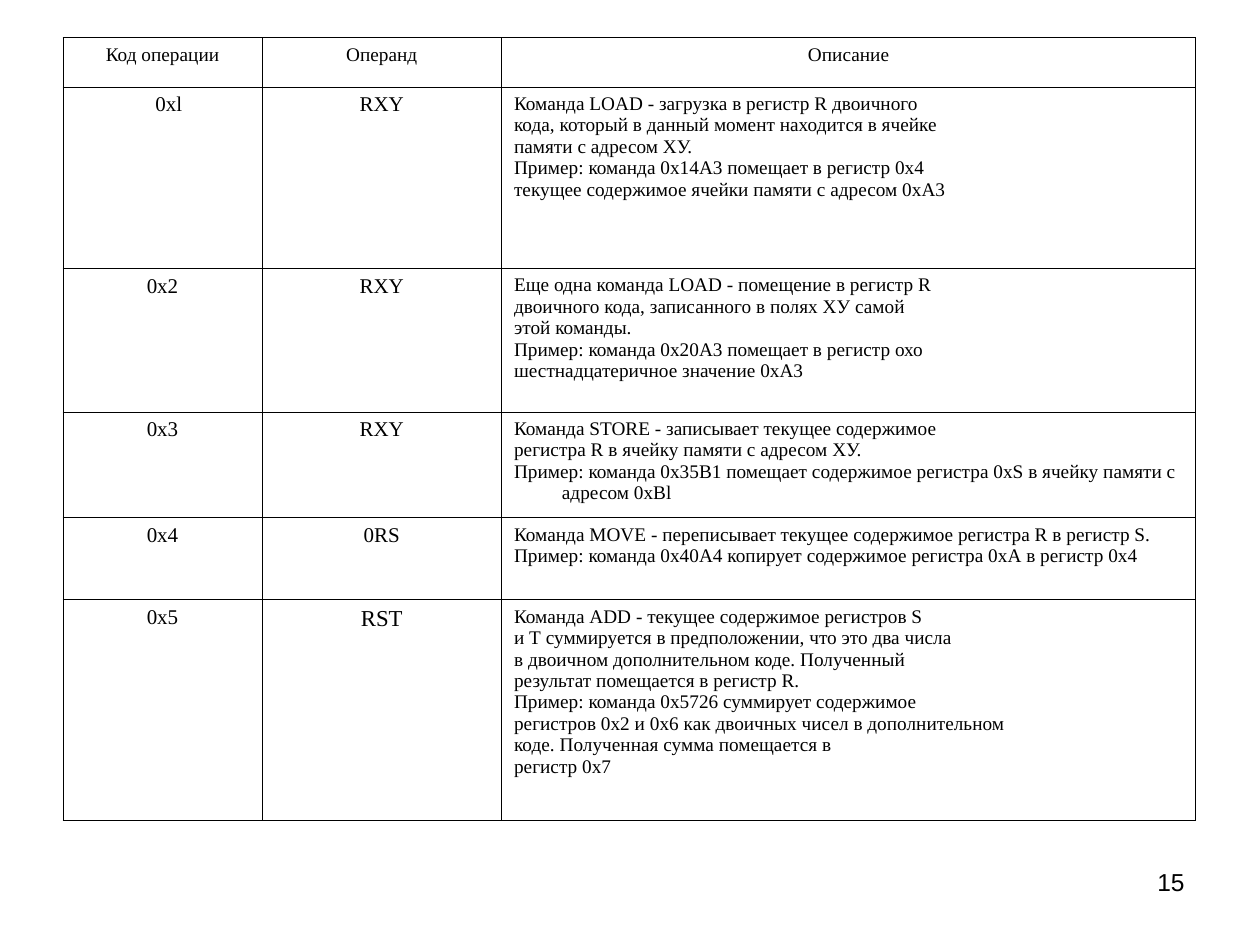
from lxml import etree
from pptx import Presentation
from pptx.dml.color import RGBColor
from pptx.enum.text import PP_ALIGN
from pptx.oxml.ns import qn
from pptx.util import Inches, Pt

LEFT, CENTER, RIGHT = PP_ALIGN.LEFT, PP_ALIGN.CENTER, PP_ALIGN.RIGHT
COLORS = {"text": "000000", "border": "000000"}
BORDER_WIDTH = Pt(0.45)
INDENT = 0.38
COL_WIDTHS = [1.58, 1.9, 5.51]
ROW_HEIGHTS = [0.39, 1.44, 1.14, 0.84, 0.65, 1.75]

ROWS = [
    ("Код операции", "Операнд", ["Описание"]),
    ("0xl", "RXY", [
        "Команда LOAD - загрузка в регистр R двоичного",
        "кода, который в данный момент находится в ячейке",
        "памяти с адресом ХУ.",
        "Пример: команда 0х14А3 помещает в регистр 0х4",
        "текущее содержимое ячейки памяти с адресом 0хА3"]),
    ("0х2", "RXY", [
        "Еще одна команда LOAD - помещение в регистр R",
        "двоичного кода, записанного в полях ХУ самой",
        "этой команды.",
        "Пример: команда 0х20А3 помещает в регистр охо",
        "шестнадцатеричное значение 0хА3"]),
    ("0х3", "RXY", [
        "Команда STORE - записывает текущее содержимое",
        "регистра R в ячейку памяти с адресом ХУ.",
        "Пример: команда 0х35B1 помещает содержимое регистра 0xS "
        "в ячейку памяти с адресом 0хBl"]),
    ("0х4", "0RS", [
        "Команда MOVE - переписывает текущее содержимое регистра R в регистр S.",
        "Пример: команда 0х40А4 копирует содержимое регистра 0хА в регистр 0х4"]),
    ("0x5", "RST", [
        "Команда ADD - текущее содержимое регистров S",
        "и Т суммируется в предположении, что это два числа",
        "в двоичном дополнительном коде. Полученный",
        "результат помещается в регистр R.",
        "Пример: команда 0х5726 суммирует содержимое",
        "регистров 0х2 и 0х6 как двоичных чисел в дополнительном",
        "коде. Полученная сумма помещается в",
        "регистр 0х7"]),
]


def add_text(p, text, align, font, size):
    p.alignment = align
    r = p.add_run()
    r.text = text
    for name, value in {"name": font, "size": Pt(size), "bold": False}.items():
        setattr(r.font, name, value)
    r.font.color.rgb = RGBColor.from_string(COLORS["text"])


def set_borders(cell):
    tcPr = cell._tc.get_or_add_tcPr()
    for i, side in enumerate(("lnL", "lnR", "lnT", "lnB")):
        ln = etree.Element(qn(f"a:{side}"), w=str(BORDER_WIDTH))
        fill = etree.SubElement(ln, qn("a:solidFill"))
        etree.SubElement(fill, qn("a:srgbClr"), val=COLORS["border"])
        tcPr.insert(i, ln)


prs = Presentation()
prs.slide_width, prs.slide_height = Inches(10), Inches(7.5)
s = prs.slides.add_slide(prs.slide_layouts[6])

# Table of machine commands
table = s.shapes.add_table(len(ROWS), len(COL_WIDTHS), Inches(0.5), Inches(0.3),
                           Inches(sum(COL_WIDTHS)), Inches(sum(ROW_HEIGHTS))).table
table.first_row = table.horz_banding = False
for col, width in zip(table.columns, COL_WIDTHS):
    col.width = Inches(width)
for row, height in zip(table.rows, ROW_HEIGHTS):
    row.height = Inches(height)

for i, (code, operand, description) in enumerate(ROWS):
    for j, lines in enumerate(([code], [operand], description)):
        cell = table.cell(i, j)
        cell.fill.background()
        set_borders(cell)
        size = 11 if i == 0 or j == 2 else 13 if operand == "RST" and j == 1 else 12
        align = LEFT if i and j == 2 else CENTER
        tf = cell.text_frame
        for k, line in enumerate(lines):
            p = tf.add_paragraph() if k else tf.paragraphs[0]
            # Hanging indent, slightly shorter for the first code
            hanging = 0.28 if line == "0xl" else INDENT
            pPr = p._p.get_or_add_pPr()
            pPr.set("marL", str(Inches(INDENT)))
            pPr.set("indent", str(-Inches(hanging)))
            add_text(p, line, align, "Times New Roman", size)

# Slide number
tf = s.shapes.add_textbox(Inches(7.17), Inches(6.83), Inches(2.33), Inches(0.52)).text_frame
tf.word_wrap = True
add_text(tf.paragraphs[0], "15", RIGHT, "Arial", 14)

prs.save("out.pptx")
